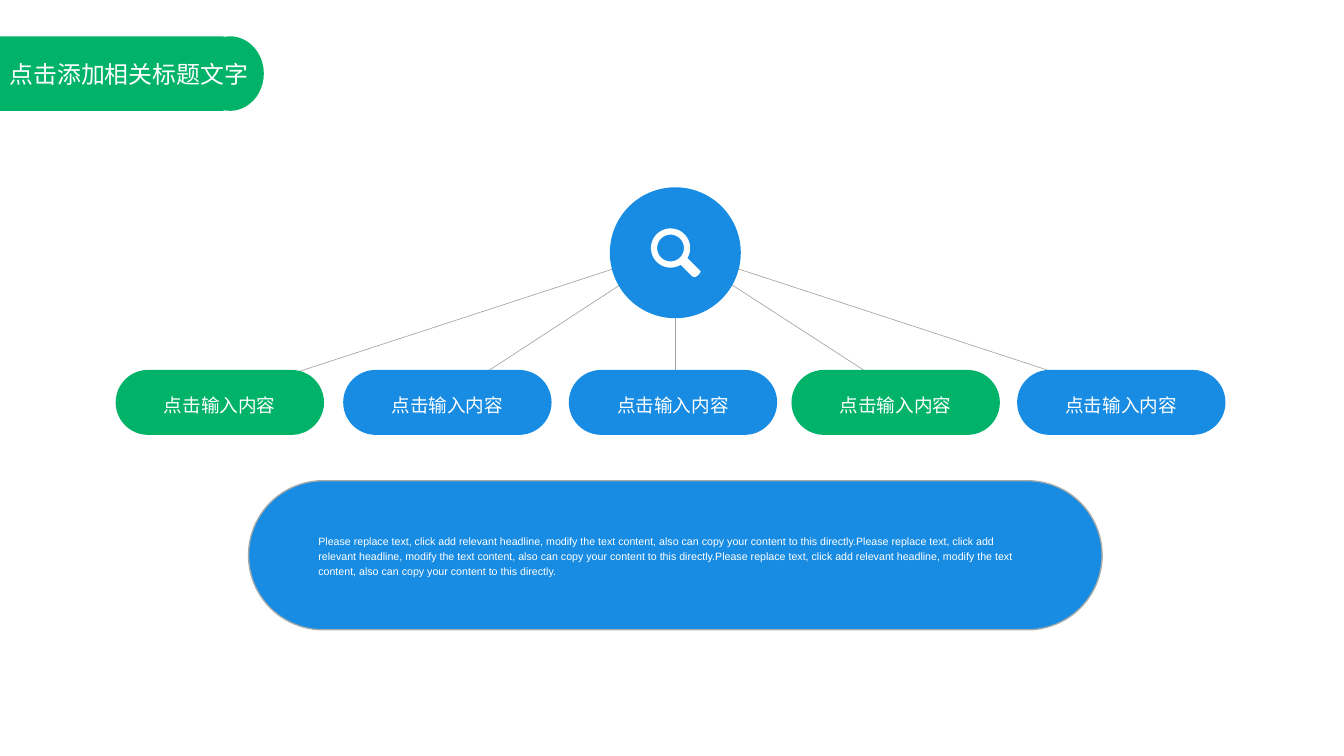
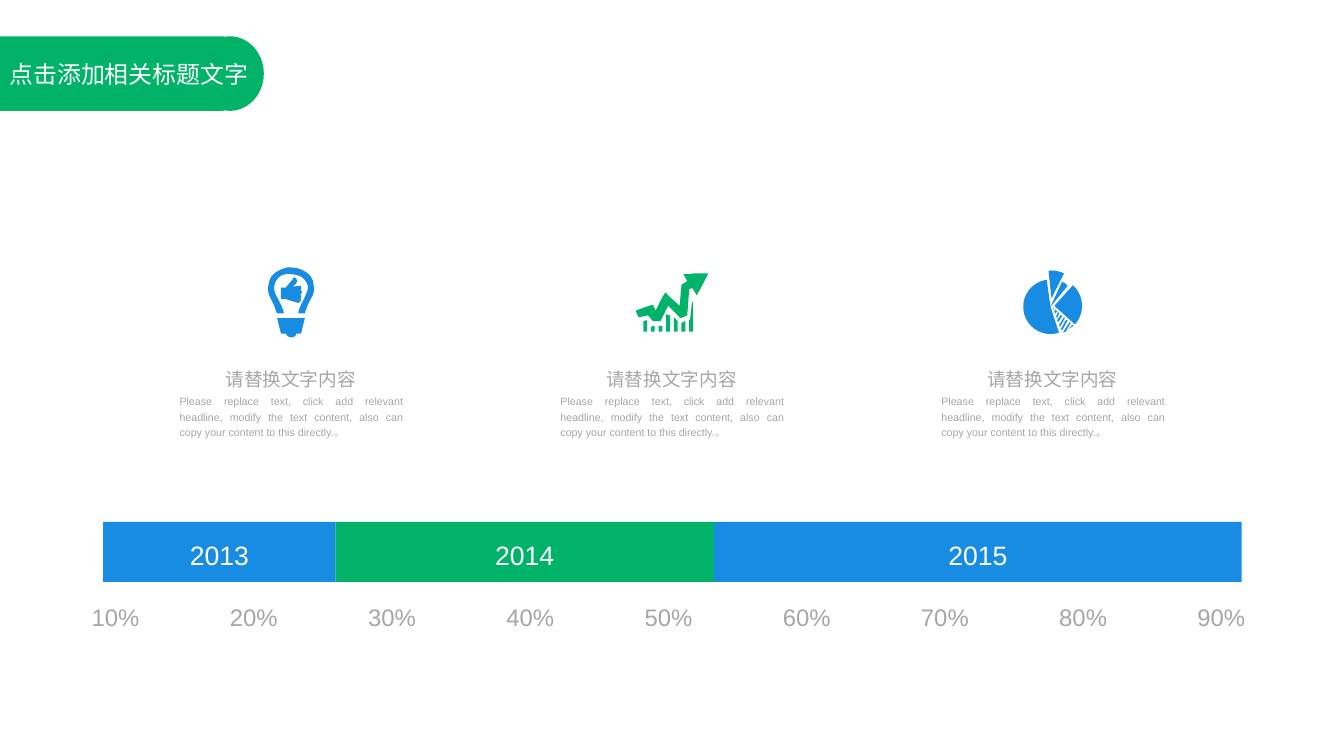
import dataclasses
import math
import typing

import lxml.etree
import pptx
import pptx.dml.color
import pptx.enum.shapes
import pptx.enum.text
import pptx.oxml.ns
import pptx.util

COLOURS = {
    "green": "00B369",
    "blue": "188CE3",
    "white": "FFFFFF",
    "grey": "A6A6A6",
    "edge": "A6AAA9",
}
LATIN_FONT = "Arial"
CHINESE_FONT = "Noto Sans CJK SC"
CELL = pptx.util.Inches(0.1)
COLUMNS, ROWS = 140.6, 79.1
ICON_UNITS = 10

SHAPE = pptx.enum.shapes.MSO_SHAPE
ALIGN = pptx.enum.text.PP_ALIGN
ANCHOR = pptx.enum.text.MSO_ANCHOR
FIT = pptx.enum.text.MSO_AUTO_SIZE

Point = tuple[float, float]
Outline = list[Point]

HEADLINE = "点击添加相关标题文字"
PILL_LABEL = "点击输入内容"
FEATURE_TITLE = "请替换文字内容"
SENTENCE = (
    "Please replace text, click add relevant headline, modify the text content, "
    "also can copy your content to this directly."
)


@dataclasses.dataclass(frozen=True)
class Box:
    column: float
    row: float
    columns: float
    rows: float

    def emu(self) -> tuple[int, int, int, int]:
        return cells(self.column), cells(self.row), cells(self.columns), cells(self.rows)


@dataclasses.dataclass(frozen=True)
class Pill:
    column: float
    spoke_column: float
    colour: str


@dataclasses.dataclass(frozen=True)
class Icon:
    column: float
    row: float
    colour: str
    outlines: list[Outline]


@dataclasses.dataclass(frozen=True)
class Period:
    label: str
    columns: float
    colour: str


def cells(count: float) -> int:
    return pptx.util.Emu(round(count * CELL))


def rgb(colour: str) -> pptx.dml.color.RGBColor:
    return pptx.dml.color.RGBColor.from_string(COLOURS[colour])


def arc(column: float, row: float, radius: float, start: int, end: int) -> Outline:
    steps = max(4, (end - start) // 6)
    angles = [math.radians(start + (end - start) * i / steps) for i in range(steps + 1)]
    return [(column + radius * math.cos(a), row + radius * math.sin(a)) for a in angles]


def curve(*knots: Point) -> Outline:
    steps = 8
    points = [knots[0]]
    for first in range(0, len(knots) - 1, 3):
        a, b, c, d = knots[first:first + 4]
        for step in range(1, steps + 1):
            t = step / steps
            u = 1 - t
            points.append(tuple(
                u**3 * a[k] + 3 * u * u * t * b[k] + 3 * u * t * t * c[k] + t**3 * d[k]
                for k in (0, 1)
            ))
    return points


def magnifier_outlines() -> list[Outline]:
    handle = [(50, 43), (52, 45), (51, 47), (48, 50), (46, 51), (43, 50)]
    return [arc(20.5, 20.5, 20.5, 59, 391) + handle, arc(20.5, 20.5, 14, 0, 360)]


def bulb_outlines() -> list[Outline]:
    base = [(11, 54), (40, 54), (36, 70)] + curve(
        (31, 70), (31, 72), (29, 74), (26, 74), (23, 74), (21, 72), (20, 70)
    ) + [(15, 70)]
    hand = [
        (36, 20), (36, 25), (37, 27), (36, 29), (35, 29), (36, 31), (36, 33), (35, 34),
        (36, 34), (35, 37), (33, 38), (20, 34), (15, 34), (15, 22), (20, 22),
    ] + curve((29, 11), (35, 15), (30, 19), (27, 21))
    inside = curve(
        (18, 49), (17, 43), (14, 38), (12, 34), (9, 29), (7, 24), (8, 20),
        (9, 15), (12, 11), (16, 9), (19, 8), (22, 7), (26, 8), (29, 8), (32, 9), (35, 10),
        (39, 12), (42, 16), (43, 20), (44, 24), (41, 29), (39, 34), (37, 38), (34, 43), (33, 49),
    )
    outside = curve(
        (40, 49), (41, 45), (43, 40), (45, 36), (48, 31), (51, 25), (49, 19),
        (49, 12), (44, 7), (38, 4), (34, 2), (30, 1), (26, 1), (22, 0), (17, 2), (13, 4),
        (7, 7), (3, 11), (2, 19), (0, 25), (3, 31), (6, 37), (8, 40), (9, 45), (11, 49),
    )
    return [base, hand, inside + outside]


def growth_outlines() -> list[Outline]:
    arrow = [
        (76, 0), (70, 12), (64, 23), (59, 15), (56, 17), (54, 44), (47, 47), (34, 34),
        (26, 50), (18, 50), (13, 44), (3, 46), (0, 39), (14, 34), (18, 33), (21, 39),
        (28, 25), (31, 20), (35, 24), (46, 34), (48, 12), (54, 8), (50, 1), (63, 0),
    ]
    tops = [(50, 49), (56, 55), (55, 55), (43, 44), (46, 50), (52, 50)]
    bars = []
    for index, (left_top, right_top) in enumerate(tops):
        left = 8 + 8 * index
        bars.append([(left, 61), (left, left_top), (left + 4, right_top), (left + 4, 61)])
    last_bar = [(56, 61), (60, 61), (60, 30), (59, 30), (57, 48), (56, 49)]
    return [arrow, *bars, last_bar]


def pie_outlines() -> list[Outline]:
    slices = [
        [(29, 38)] + arc(29, 38, 28.5, 72, 262),
        [(33, 37)] + arc(33, 37, 29, -48, 42),
        [(30, 29)] + arc(30, 29, 29, -96, -63),
        [(29, 38), (41, 12), (44, 13), (47, 16)],
    ]
    stripes = [
        [(53, 58), (48, 61), (52, 57)],
        [(45, 64), (50, 55), (49, 54), (42, 65)],
        [(41, 63), (47, 52), (45, 52), (40, 61)],
        [(39, 59), (44, 50), (43, 49), (38, 57)],
        [(37, 54), (41, 48), (40, 46), (36, 52)],
        [(36, 50), (38, 45), (37, 43), (35, 48)],
        [(34, 45), (36, 43), (34, 41), (33, 43)],
        [(32, 41), (32, 39), (33, 40)],
    ]
    return slices + stripes


def paint(shape: typing.Any, colour: str, edge: str | None = None) -> None:
    shape.shadow.inherit = False
    shape.fill.solid()
    shape.fill.fore_color.rgb = rgb(colour)
    if edge:
        shape.line.color.rgb = rgb(edge)
        shape.line.width = pptx.util.Pt(1)
    else:
        shape.line.fill.background()


def add_block(page: typing.Any, kind: typing.Any, box: Box, colour: str,
              edge: str | None = None) -> typing.Any:
    shape = page.shapes.add_shape(kind, *box.emu())
    if kind == SHAPE.ROUNDED_RECTANGLE:
        shape.adjustments[0] = 0.5
    paint(shape, colour, edge)
    return shape


def write(shape: typing.Any, text: str, *, size: float, colour: str = "white",
          font: str = LATIN_FONT, align: typing.Any = None, anchor: typing.Any = ANCHOR.MIDDLE,
          spacing: float | None = 1.2, wrap: bool = True, grow: bool = False,
          inset: bool = True) -> None:
    frame = shape.text_frame
    frame.word_wrap = wrap
    frame.vertical_anchor = anchor
    if grow:
        frame.auto_size = FIT.SHAPE_TO_FIT_TEXT
    if not inset:
        frame.margin_left = frame.margin_right = frame.margin_top = frame.margin_bottom = 0
    para = frame.paragraphs[0]
    para.alignment = align
    para.line_spacing = spacing
    span = para.add_run()
    span.text = text
    span.font.size = pptx.util.Pt(size)
    span.font.name = font
    span.font.color.rgb = rgb(colour)
    east_asian = lxml.etree.Element(pptx.oxml.ns.qn("a:ea"), typeface=CHINESE_FONT)
    span.font.element.find(pptx.oxml.ns.qn("a:latin")).addnext(east_asian) \
        if hasattr(span.font, "element") else \
        span.font._rPr.find(pptx.oxml.ns.qn("a:latin")).addnext(east_asian)


def add_text(page: typing.Any, box: Box, text: str, **text_format: typing.Any) -> None:
    write(page.shapes.add_textbox(*box.emu()), text, **text_format)


def add_icon(page: typing.Any, icon: Icon) -> None:
    def place(point: Point) -> tuple[int, int]:
        return (cells(icon.column + point[0] / ICON_UNITS),
                cells(icon.row + point[1] / ICON_UNITS))

    first, *others = [[place(point) for point in outline] for outline in icon.outlines]
    builder = page.shapes.build_freeform(*first[0])
    builder.add_line_segments(first[1:], close=True)
    for outline in others:
        builder.move_to(*outline[0])
        builder.add_line_segments(outline[1:], close=True)
    paint(builder.convert_to_shape(), icon.colour)


def add_spoke(page: typing.Any, start: Point, end: Point) -> None:
    spoke = page.shapes.add_connector(
        pptx.enum.shapes.MSO_CONNECTOR.STRAIGHT, *(cells(count) for count in start + end)
    )
    spoke.line.color.rgb = rgb("grey")
    spoke.line.width = pptx.util.Pt(0.5)
    lxml.etree.SubElement(spoke.element.spPr, pptx.oxml.ns.qn("a:effectLst"))


def add_title(page: typing.Any) -> None:
    add_text(page, Box(0, 5.7, 27.6, 4), HEADLINE, size=18, font=CHINESE_FONT,
             anchor=ANCHOR.TOP, spacing=None, grow=True)


def move_title_band_to_layout(page: typing.Any, layout: typing.Any) -> None:
    tree = layout.shapes.element
    for placeholder in list(layout.placeholders):
        tree.remove(placeholder.element)
    for kind, box in ((SHAPE.RECTANGLE, Box(0, 3.8, 23.4, 7.8)),
                      (SHAPE.OVAL, Box(20.5, 3.8, 7.1, 7.8))):
        tree.append(add_block(page, kind, box, "green").element)


def fill_hub_page(page: typing.Any) -> None:
    hub = (70.7, 26)
    pills = [
        Pill(12.1, 22.9, "green"),
        Pill(35.9, 46.8, "blue"),
        Pill(59.5, 70.7, "blue"),
        Pill(82.8, 94.8, "green"),
        Pill(106.4, 118.4, "blue"),
    ]
    for pill in pills:
        add_spoke(page, hub, (pill.spoke_column, 41.6))
    for pill in pills:
        shape = add_block(page, SHAPE.ROUNDED_RECTANGLE, Box(pill.column, 38.7, 21.8, 6.8),
                          pill.colour)
        write(shape, PILL_LABEL, size=14, align=ALIGN.CENTER, inset=False)
    add_block(page, SHAPE.ROUNDED_RECTANGLE, Box(26, 50.3, 89.3, 15.6), "blue", "edge")
    add_block(page, SHAPE.OVAL, Box(63.8, 19.6, 13.7, 13.7), "blue")
    add_icon(page, Icon(68.1, 23.9, "white", magnifier_outlines()))
    add_text(page, Box(33.3, 53.7, 73.8, 8.7), SENTENCE * 3, size=8, inset=False)
    add_title(page)


def fill_timeline_page(page: typing.Any) -> None:
    label_format = dict(colour="grey", align=ALIGN.JUSTIFY, anchor=ANCHOR.TOP, grow=True)
    for index in range(9):
        add_text(page, Box(8.6 + index * 14.46, 62, 7.1, 4.3), f"{10 * (index + 1)}%",
                 size=18, wrap=False, **label_format)

    column = 10.8
    for period in (Period("2013", 24.3, "blue"), Period("2014", 39.6, "green"),
                   Period("2015", 55.2, "blue")):
        bar = add_block(page, SHAPE.RECTANGLE, Box(column, 54.6, period.columns, 6.3),
                        period.colour)
        write(bar, period.label, size=20, align=ALIGN.CENTER)
        column += period.columns

    icons = [
        Icon(27.9, 27.9, "blue", bulb_outlines()),
        Icon(66.5, 28.6, "green", growth_outlines()),
        Icon(107, 28.3, "blue", pie_outlines()),
    ]
    for index, icon in enumerate(icons):
        left = 17.8 + index * 39.85
        add_icon(page, icon)
        add_text(page, Box(left + 4.8, 37.5, 15.8, 3.6), FEATURE_TITLE, size=14, wrap=False,
                 **label_format)
        add_text(page, Box(left, 40.6, 25.4, 5.9), SENTENCE + "。", size=8, **label_format)
    add_title(page)


def main() -> None:
    deck = pptx.Presentation()
    deck.slide_width, deck.slide_height = cells(COLUMNS), cells(ROWS)
    layout = deck.slide_layouts[6]
    hub_page, timeline_page = (deck.slides.add_slide(layout) for _ in range(2))
    move_title_band_to_layout(hub_page, layout)
    fill_hub_page(hub_page)
    fill_timeline_page(timeline_page)
    deck.save("out.pptx")


if __name__ == "__main__":
    main()
